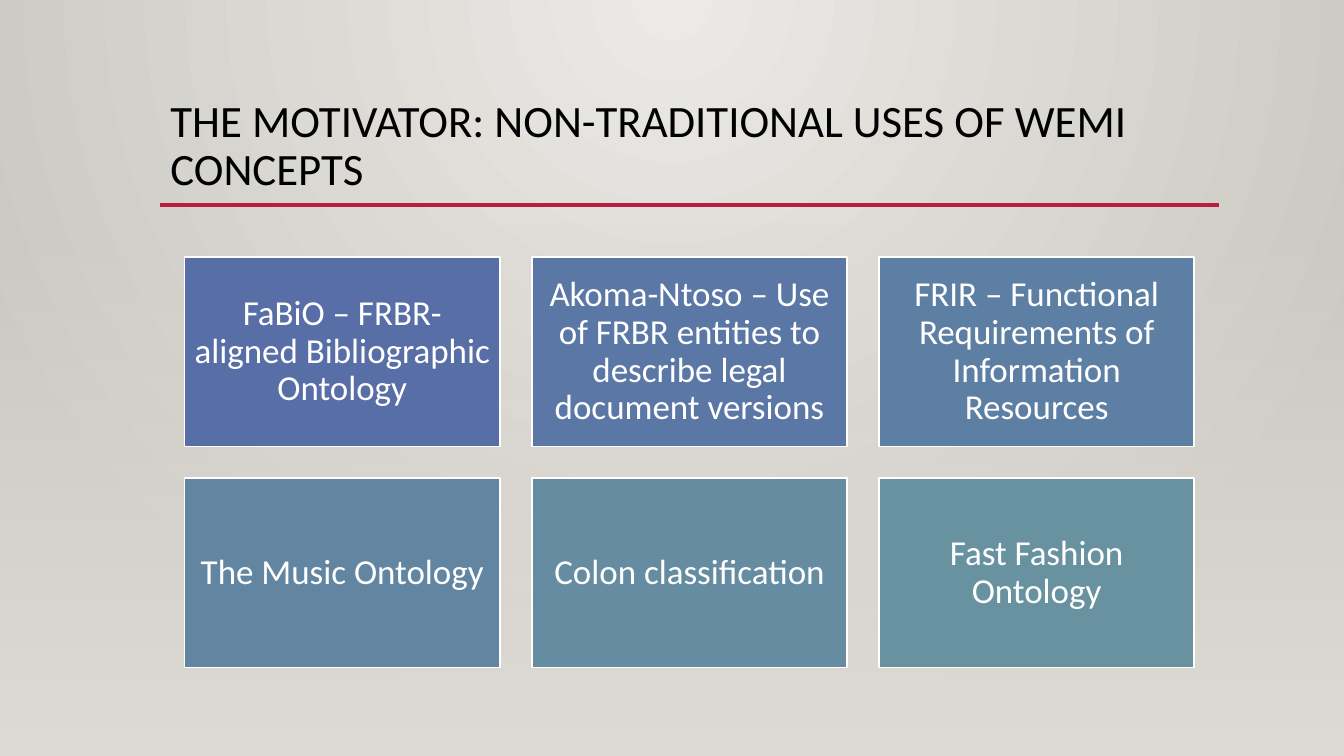
from lxml import etree
from pptx import Presentation
from pptx.dml.color import RGBColor
from pptx.enum.shapes import MSO_CONNECTOR, MSO_SHAPE
from pptx.enum.text import MSO_ANCHOR, PP_ALIGN
from pptx.oxml.ns import qn
from pptx.util import Cm, Pt

RECTANGLE = MSO_SHAPE.RECTANGLE
STRAIGHT = MSO_CONNECTOR.STRAIGHT
MIDDLE = MSO_ANCHOR.MIDDLE
LEFT, CENTER = PP_ALIGN.LEFT, PP_ALIGN.CENTER

SLIDE_WIDTH, SLIDE_HEIGHT = 33.87, 19.05
TITLE_ONLY = 5
COLORS = {
    "title": "000000",
    "rule": "B71E42",
    "card_text": "FFFFFF",
    "glow_center": "ECEAE7",
    "glow_edge": "CAC7C1",
    "floor": "DFDBD5",
}
USES = [
    ("FaBiO – FRBR-aligned Bibliographic Ontology", "586EA6"),
    ("Akoma-Ntoso – Use of FRBR entities to describe legal document versions", "5B77A5"),
    ("FRIR – Functional Requirements of Information Resources", "5E7FA4"),
    ("The Music Ontology", "6286A2"),
    ("Colon classification", "658CA1"),
    ("Fast Fashion Ontology", "6892A0"),
]
COLUMNS = 3
CARD_WIDTH, CARD_HEIGHT = 7.95, 4.77
GRID_LEFT, GRID_TOP, GAP = 4.65, 6.48, 0.8


def rgb(color):
    return RGBColor.from_string(color)


def replace_solid_fill(parent, stops, direction):
    """Swap the solid fill in parent for a gradient of (color, opacity %) stops."""
    gradient = etree.Element(qn("a:gradFill"), rotWithShape="1")
    stop_list = etree.SubElement(gradient, qn("a:gsLst"))
    for index, (color, opacity) in enumerate(stops):
        position = 100000 * index // (len(stops) - 1)
        stop = etree.SubElement(stop_list, qn("a:gs"), pos=str(position))
        shade = etree.SubElement(stop, qn("a:srgbClr"), val=color)
        if opacity < 100:
            etree.SubElement(shade, qn("a:alpha"), val=str(opacity * 1000))
    gradient.append(direction)
    parent.replace(parent.find(qn("a:solidFill")), gradient)


class SlideBuilder:
    font = "Calibri"

    def __init__(self, slide):
        self.slide = slide

    def set_text(self, shape, text, size, color, align):
        frame = shape.text_frame
        frame.text = text
        frame.word_wrap = True
        frame.vertical_anchor = MIDDLE
        paragraph = frame.paragraphs[0]
        paragraph.alignment = align
        paragraph.line_spacing = 0.9
        paragraph.font.name = self.font
        paragraph.font.size = Pt(size)
        paragraph.font.color.rgb = rgb(color)
        return frame

    def background_glow(self):
        fill = self.slide.background.fill
        fill.solid()
        fill.fore_color.rgb = rgb(COLORS["glow_edge"])
        circle = etree.Element(qn("a:path"), path="circle")
        etree.SubElement(circle, qn("a:fillToRect"), l="43000", t="0", r="43000", b="100000")
        properties = self.slide.element.find(".//" + qn("p:bgPr"))
        stops = [(COLORS["glow_center"], 100), (COLORS["glow_edge"], 100)]
        replace_solid_fill(properties, stops, circle)

    def rectangle(self, left, top, width, height, color):
        shape = self.slide.shapes.add_shape(
            RECTANGLE, Cm(left), Cm(top), Cm(width), Cm(height))
        shape.shadow.inherit = False
        shape.fill.solid()
        shape.fill.fore_color.rgb = rgb(color)
        return shape

    def floor_fade(self, top):
        floor = self.rectangle(0, top, SLIDE_WIDTH, SLIDE_HEIGHT - top, COLORS["floor"])
        floor.line.fill.background()
        downward = etree.Element(qn("a:lin"), ang="5400000", scaled="0")
        stops = [(COLORS["floor"], 0), (COLORS["floor"], 100)]
        replace_solid_fill(floor.element.spPr, stops, downward)

    def title(self, text, left, top, width, height):
        title = self.slide.shapes.title
        title.left, title.top = Cm(left), Cm(top)
        title.width, title.height = Cm(width), Cm(height)
        self.set_text(title, text, 32, COLORS["title"], LEFT)

    def rule(self, left, y, width):
        rule = self.slide.shapes.add_connector(
            STRAIGHT, Cm(left), Cm(y), Cm(left + width), Cm(y))
        rule.line.color.rgb = rgb(COLORS["rule"])
        rule.line.width = Pt(2.5)
        etree.SubElement(rule.element.spPr, qn("a:effectLst"))

    def card(self, left, top, text, color):
        card = self.rectangle(left, top, CARD_WIDTH, CARD_HEIGHT, color)
        card.line.color.rgb = rgb(COLORS["card_text"])
        card.line.width = Pt(1.25)
        frame = self.set_text(card, text, 25, COLORS["card_text"], CENTER)
        frame.margin_left = frame.margin_right = Cm(0.25)
        frame.margin_top = frame.margin_bottom = Cm(0.25)


def main():
    presentation = Presentation()
    presentation.slide_width = Cm(SLIDE_WIDTH)
    presentation.slide_height = Cm(SLIDE_HEIGHT)
    layout = presentation.slide_layouts[TITLE_ONLY]
    builder = SlideBuilder(presentation.slides.add_slide(layout))

    builder.background_glow()
    builder.floor_fade(top=5.61)
    builder.title("THE MOTIVATOR: NON-TRADITIONAL USES OF WEMI CONCEPTS",
                  left=4.04, top=2.24, width=26.67, height=2.92)
    builder.rule(left=4.04, y=5.16, width=26.67)
    for index, (use, color) in enumerate(USES):
        row, column = divmod(index, COLUMNS)
        builder.card(GRID_LEFT + column * (CARD_WIDTH + GAP),
                     GRID_TOP + row * (CARD_HEIGHT + GAP), use, color)
    presentation.save("out.pptx")


if __name__ == "__main__":
    main()
